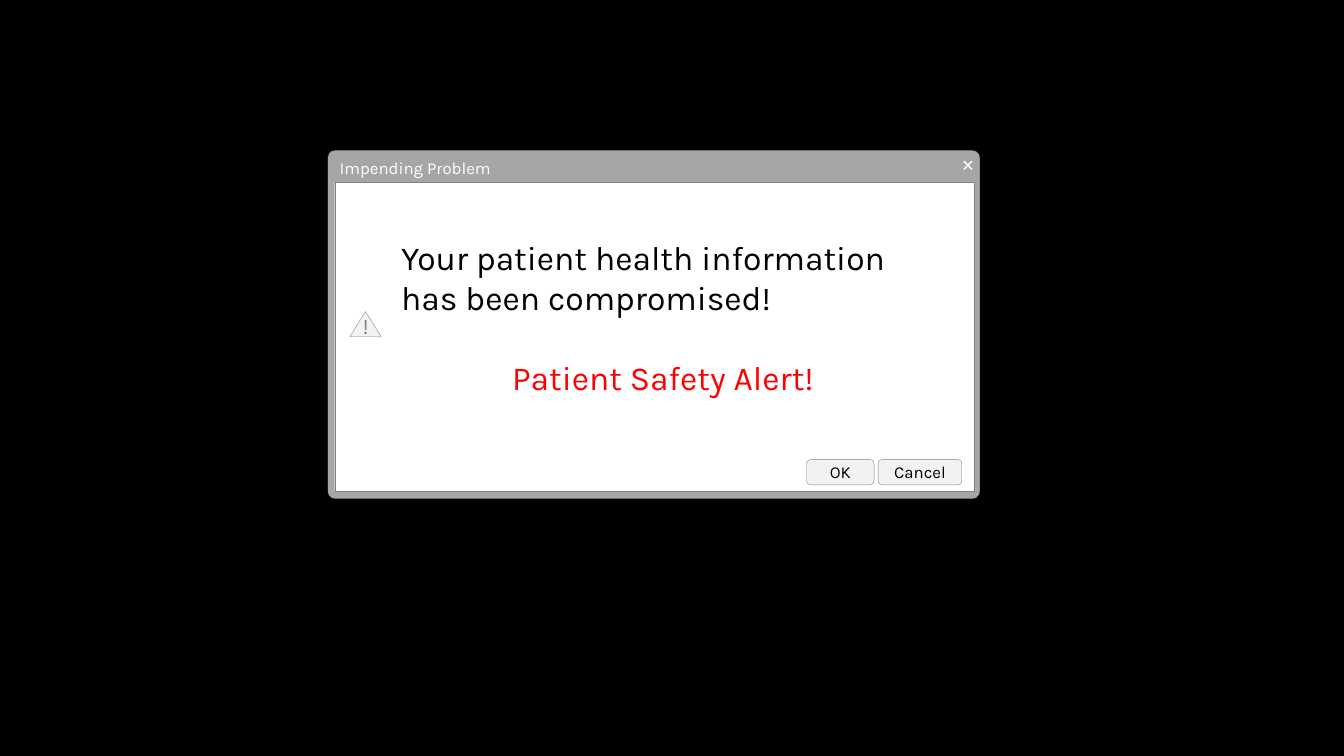
"""Build a slide showing a patient safety alert dialog on a black background."""
import pptx
import pptx.dml.color
import pptx.enum.shapes
import pptx.enum.text
import pptx.oxml
import pptx.oxml.ns
import pptx.util

Inches = pptx.util.Inches
Pt = pptx.util.Pt
SHAPE = pptx.enum.shapes.MSO_SHAPE
ALIGN = pptx.enum.text.PP_ALIGN
ANCHOR = pptx.enum.text.MSO_ANCHOR


def paint(color_format, color):
    color_format.rgb = pptx.dml.color.RGBColor.from_string(color)


def write(paragraph, text, size, color, align):
    paragraph.alignment = align
    run = paragraph.add_run()
    run.text = text
    for name, value in {"name": "Karla", "size": Pt(size)}.items():
        setattr(run.font, name, value)
    paint(run.font.color, color)


deck = pptx.Presentation()
deck.slide_width, deck.slide_height = Inches(13.33), Inches(7.5)
slide = deck.slides.add_slide(deck.slide_layouts[6])
slide.background.fill.solid()
paint(slide.background.fill.fore_color, "000000")
dialog = slide.shapes.add_group_shape().shapes

button_look = ("F2F2F2", "808080", 12, "000000", ALIGN.CENTER, ANCHOR.MIDDLE)
parts = [
    (SHAPE.ROUNDED_RECTANGLE, (3.25, 1.49, 6.47, 3.46), "Impending Problem",
     ("A6A6A6", "0D0D0D", 12, "FFFFFF", ALIGN.LEFT, ANCHOR.TOP), {}),
    (SHAPE.RECTANGLE, (3.32, 1.81, 6.34, 3.06), "",
     ("FFFFFF", "808080", 12, "000000", ALIGN.LEFT, ANCHOR.TOP), {}),
    (SHAPE.ISOSCELES_TRIANGLE, (3.47, 3.09, 0.31, 0.25), "!",
     ("F2F2F2", "808080", 16, "808080", ALIGN.CENTER, ANCHOR.MIDDLE),
     {"margin_left": 0.05, "margin_top": 0, "margin_right": 0.05, "margin_bottom": 0.1}),
    (SHAPE.ROUNDED_RECTANGLE, (8.71, 4.56, 0.83, 0.25), "Cancel", button_look, {}),
    (SHAPE.ROUNDED_RECTANGLE, (8, 4.56, 0.67, 0.25), "OK", button_look, {}),
]
for outline, box, label, look, margins in parts:
    fill, border, size, color, align, anchor = look
    part = dialog.add_shape(outline, *map(Inches, box))
    part.shadow.inherit = False
    part.fill.solid()
    paint(part.fill.fore_color, fill)
    paint(part.line.color, border)
    part.line.width = Pt(0.25)
    if label == "Impending Problem":
        part.adjustments[0] = 0.021
    part.text_frame.vertical_anchor = anchor
    for name, value in margins.items():
        setattr(part.text_frame, name, Inches(value))
    if label:
        write(part.text_frame.paragraphs[0], label, size, color, align)

for start, end in ((9.56, 9.64), (9.64, 9.56)):
    close_stroke = dialog.add_connector(
        pptx.enum.shapes.MSO_CONNECTOR.STRAIGHT,
        Inches(start), Inches(1.6), Inches(end), Inches(1.68))
    paint(close_stroke.line.color, "FFFFFF")
    close_stroke.line.width = Pt(1)
    close_stroke._element.spPr.append(
        pptx.oxml.parse_xml(f"<a:effectLst {pptx.oxml.ns.nsdecls('a')}/>"))

message = dialog.add_textbox(*map(Inches, (3.88, 1.9, 5.47, 2.49))).text_frame
for name, value in {"word_wrap": True, "vertical_anchor": ANCHOR.MIDDLE}.items():
    setattr(message, name, value)
write(message.paragraphs[0], "Your patient health information has been compromised!",
      24, "000000", ALIGN.LEFT)
alert = message.add_paragraph()
alert.space_before = Pt(28.8)
write(alert, "Patient Safety Alert! ", 24, "FF0000", ALIGN.CENTER)

deck.save("out.pptx")
